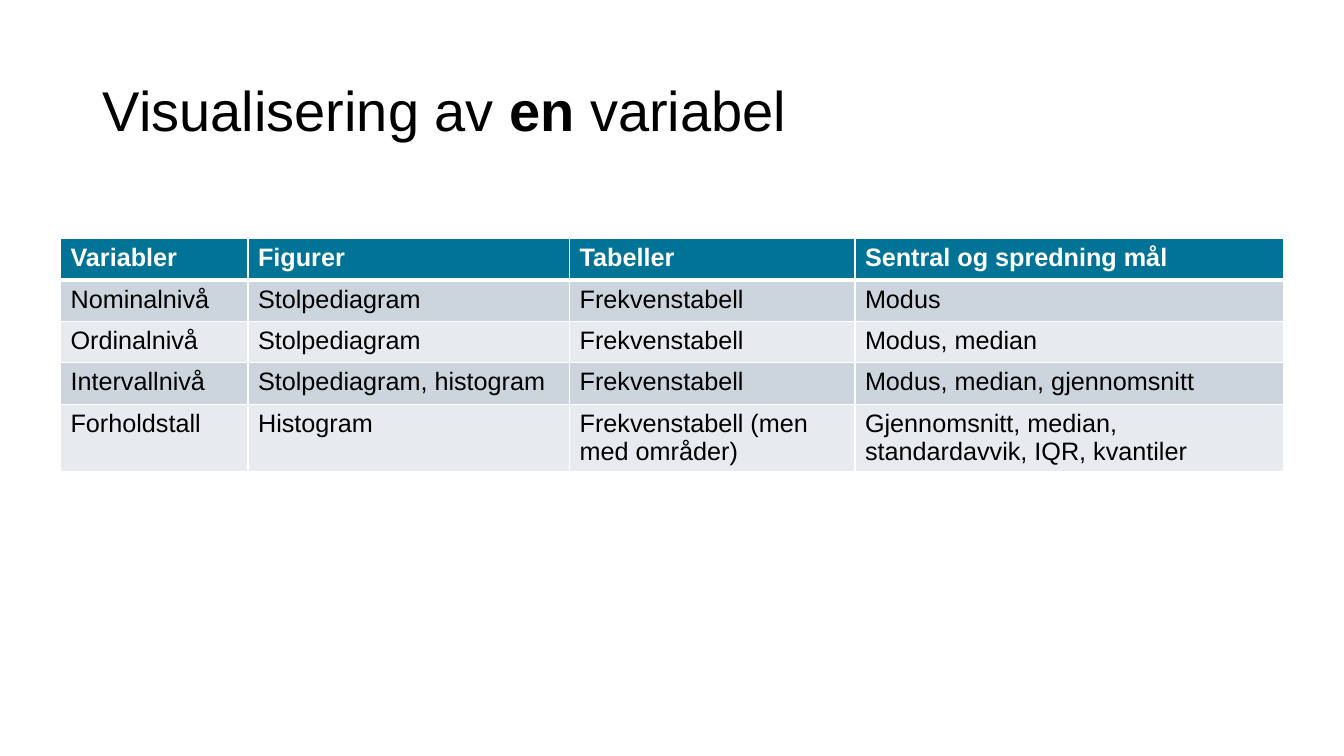
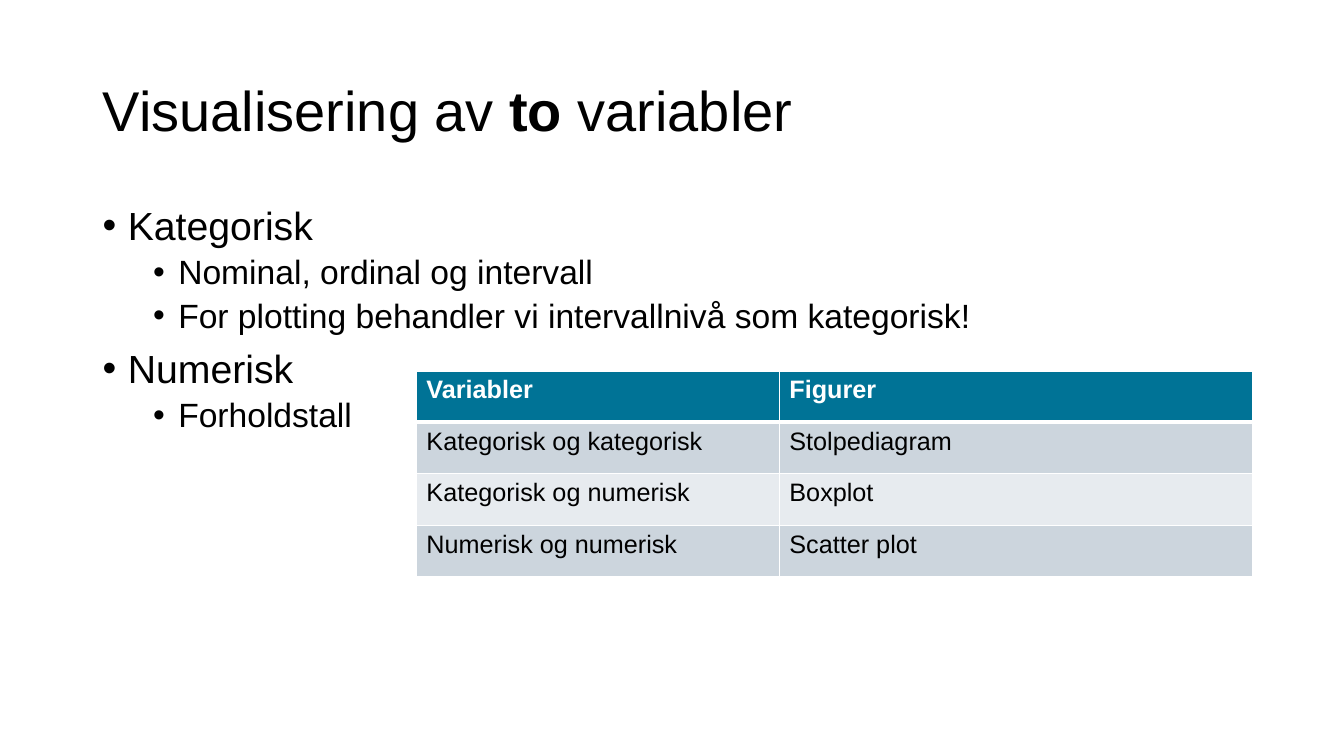
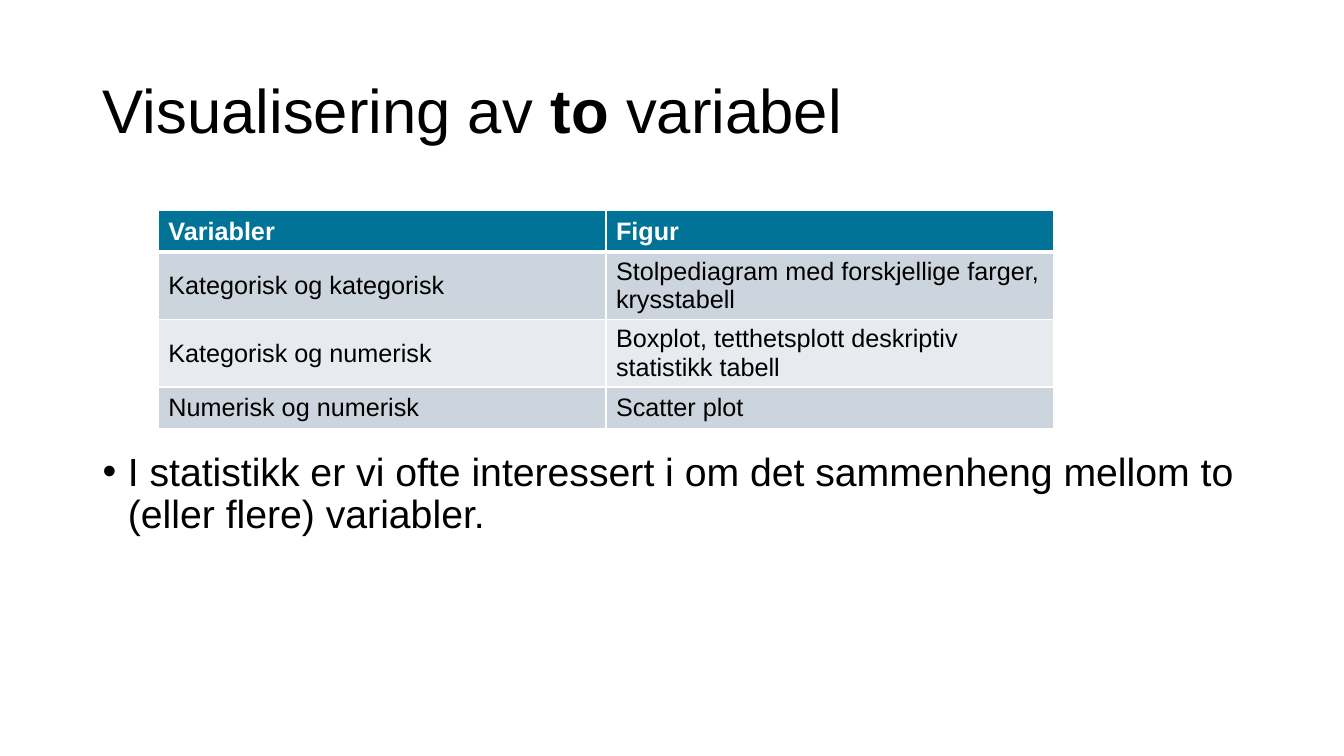
from lxml import etree
from pptx import Presentation
from pptx.dml.color import RGBColor
from pptx.enum.text import MSO_ANCHOR, MSO_AUTO_SIZE, PP_ALIGN
from pptx.oxml.ns import qn
from pptx.util import Pt

# Scale and enum members
PX = 9144  # EMU per px, 100 px to the inch
TOP, MIDDLE = MSO_ANCHOR.TOP, MSO_ANCHOR.MIDDLE
LEFT, NO_AUTOFIT = PP_ALIGN.LEFT, MSO_AUTO_SIZE.NONE

# Shared style
FONT = "Arial"
BLACK, WHITE = "000000", "FFFFFF"
HEADER_FILL = "007396"
BAND_FILLS = ("CCD5DD", "E7EBEF")
TITLE_BOX = (92, 40, 1150, 145)
BODY_LEFT, BODY_WIDTH, BODY_BOTTOM = 92, 1150, 676
# Per bullet level: text size, space before, left margin
BULLET_LEVELS = ((28, 10, 25), (24, 5, 75))
BULLET_HANG = 25


def color(hex_string):
    return RGBColor.from_string(hex_string)


def px(*lengths):
    return [length * PX for length in lengths]


class Deck:
    def __init__(self, width, height):
        self.presentation = Presentation()
        self.presentation.slide_width, self.presentation.slide_height = px(width, height)
        self.slide = None

    def format_run(self, run, size, text_color=BLACK, bold=False):
        run.font.name = FONT
        run.font.size = Pt(size)
        run.font.bold = bold
        run.font.color.rgb = color(text_color)

    def add_slide(self, before, emphasis, after, size=40):
        """Start a slide whose title has one bold word."""
        self.slide = self.presentation.slides.add_slide(self.presentation.slide_layouts[5])
        title = self.slide.shapes.title
        title.left, title.top, title.width, title.height = px(*TITLE_BOX)
        frame = title.text_frame
        frame.auto_size = NO_AUTOFIT
        frame.vertical_anchor = MIDDLE
        paragraph = frame.paragraphs[0]
        paragraph.alignment = LEFT
        paragraph.line_spacing = 0.9
        for text in (before, emphasis, after):
            run = paragraph.add_run()
            run.text = text
            self.format_run(run, size, bold=text == emphasis)

    def add_bullets(self, top, items):
        """Add (level, text) items as a bulleted list."""
        box = self.slide.shapes.add_textbox(*px(BODY_LEFT, top, BODY_WIDTH, BODY_BOTTOM - top))
        frame = box.text_frame
        frame.word_wrap = True
        frame.auto_size = NO_AUTOFIT
        frame.text = "\n".join(text for _, text in items)
        for paragraph, (level, _) in zip(frame.paragraphs, items):
            size, space_before, margin = BULLET_LEVELS[level]
            paragraph.level = level
            paragraph.line_spacing = 0.9
            paragraph.space_before = Pt(space_before)
            self.format_run(paragraph.runs[0], size)
            properties = paragraph._p.get_or_add_pPr()
            properties.set("marL", str(margin * PX))
            properties.set("indent", str(-BULLET_HANG * PX))
            etree.SubElement(properties, qn("a:buFont"), typeface=FONT)
            etree.SubElement(properties, qn("a:buChar"), char="•")

    def add_border(self, cell, side, points):
        line = etree.SubElement(cell._tc.get_or_add_tcPr(), qn("a:ln" + side), w=str(Pt(points)))
        fill = etree.SubElement(line, qn("a:solidFill"))
        etree.SubElement(fill, qn("a:srgbClr"), val=WHITE)

    def add_table(self, left, top, column_widths, row_heights, rows, anchor=TOP):
        """Add a table with a header row and banded body rows."""
        frame = self.slide.shapes.add_table(
            len(rows), len(column_widths),
            *px(left, top, sum(column_widths), sum(row_heights)))
        table = frame.table
        for column, width in zip(table.columns, px(*column_widths)):
            column.width = width
        for row, height in zip(table.rows, px(*row_heights)):
            row.height = height
        for row_index, texts in enumerate(rows):
            header = row_index == 0
            fill = HEADER_FILL if header else BAND_FILLS[(row_index - 1) % 2]
            borders = {"L": 1, "R": 1, "T": 3 if row_index == 1 else 1, "B": 3 if header else 1}
            for column_index, text in enumerate(texts):
                cell = table.cell(row_index, column_index)
                cell.text_frame.text = text
                cell.vertical_anchor = anchor
                for side, points in borders.items():
                    self.add_border(cell, side, points)
                cell.fill.solid()
                cell.fill.fore_color.rgb = color(fill)
                self.format_run(cell.text_frame.paragraphs[0].runs[0], 18,
                                WHITE if header else BLACK, header)


def main():
    deck = Deck(1333, 750)

    # One variable
    deck.add_slide("Visualisering av ", "en", " variabel")
    deck.add_table(60, 237, (186, 319, 283, 425), (41, 41, 41, 41, 67), (
        ("Variabler", "Figurer", "Tabeller", "Sentral og spredning mål"),
        ("Nominalnivå", "Stolpediagram", "Frekvenstabell", "Modus"),
        ("Ordinalnivå", "Stolpediagram", "Frekvenstabell", "Modus, median"),
        ("Intervallnivå", "Stolpediagram, histogram", "Frekvenstabell",
         "Modus, median, gjennomsnitt"),
        ("Forholdstall", "Histogram", "Frekvenstabell (men med områder)",
         "Gjennomsnitt, median, standardavvik, IQR, kvantiler"),
    ))

    # Two variables: kinds and figures
    deck.add_slide("Visualisering av ", "to", " variabler")
    deck.add_bullets(200, (
        (0, "Kategorisk"),
        (1, "Nominal, ordinal og intervall"),
        (1, "For plotting behandler vi intervallnivå som kategorisk!"),
        (0, "Numerisk"),
        (1, "Forholdstall"),
    ))
    deck.add_table(413, 368, (360, 469), (51,) * 4, (
        ("Variabler", "Figurer"),
        ("Kategorisk og kategorisk", "Stolpediagram"),
        ("Kategorisk og numerisk", "Boxplot"),
        ("Numerisk og numerisk", "Scatter plot"),
    ))

    # Two variables: relationships
    deck.add_slide("Visualisering av ", "to", " variabel", size=44)
    deck.add_bullets(444, (
        (0, "I statistikk er vi ofte interessert i om det sammenheng mellom to "
            "(eller flere) variabler."),
    ))
    deck.add_table(157, 209, (444, 444), (41, 67, 67, 41), (
        ("Variabler", "Figur"),
        ("Kategorisk og kategorisk", "Stolpediagram med forskjellige farger, krysstabell"),
        ("Kategorisk og numerisk", "Boxplot, tetthetsplott deskriptiv statistikk tabell"),
        ("Numerisk og numerisk", "Scatter plot"),
    ), anchor=MIDDLE)

    deck.presentation.save("out.pptx")


if __name__ == "__main__":
    main()
